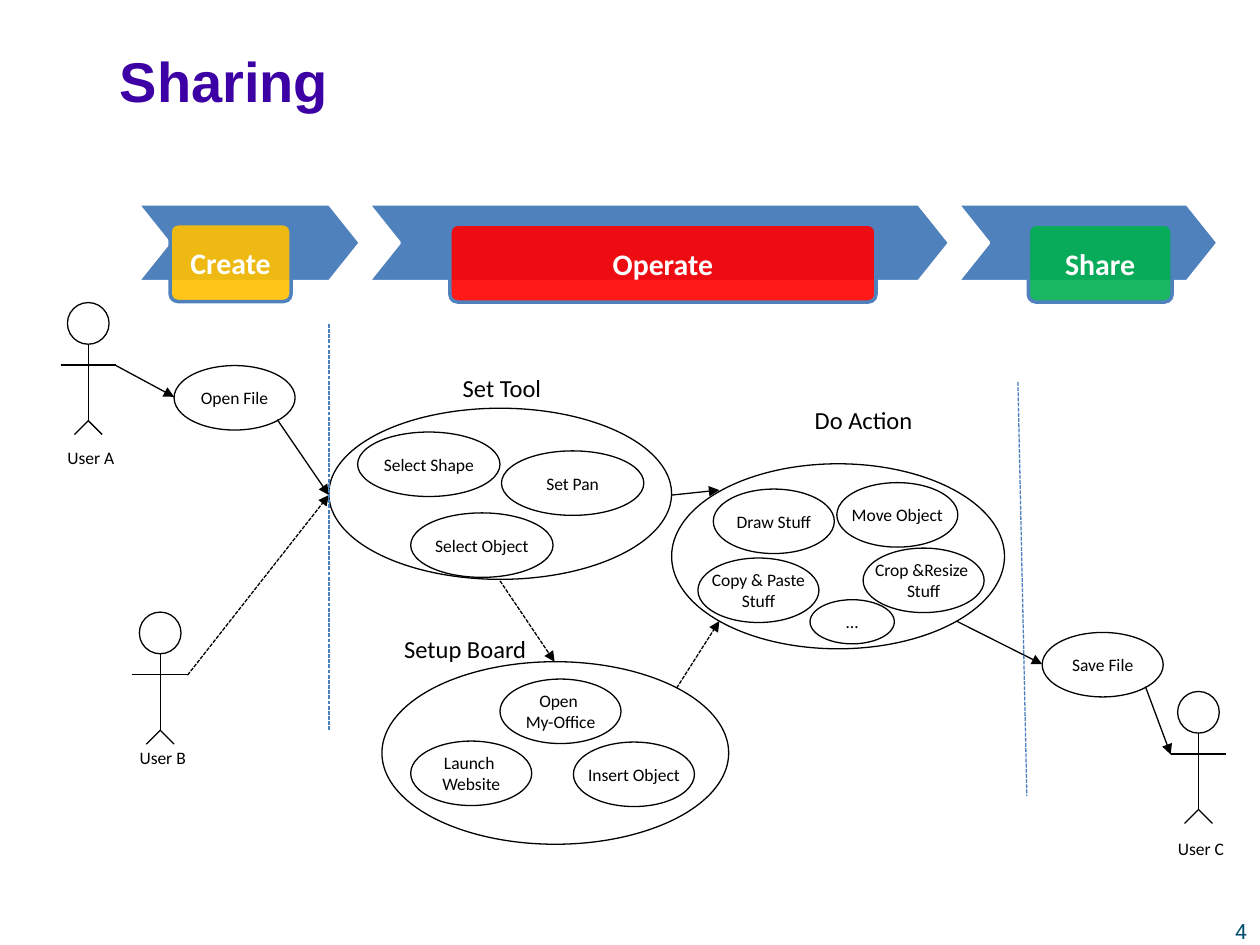
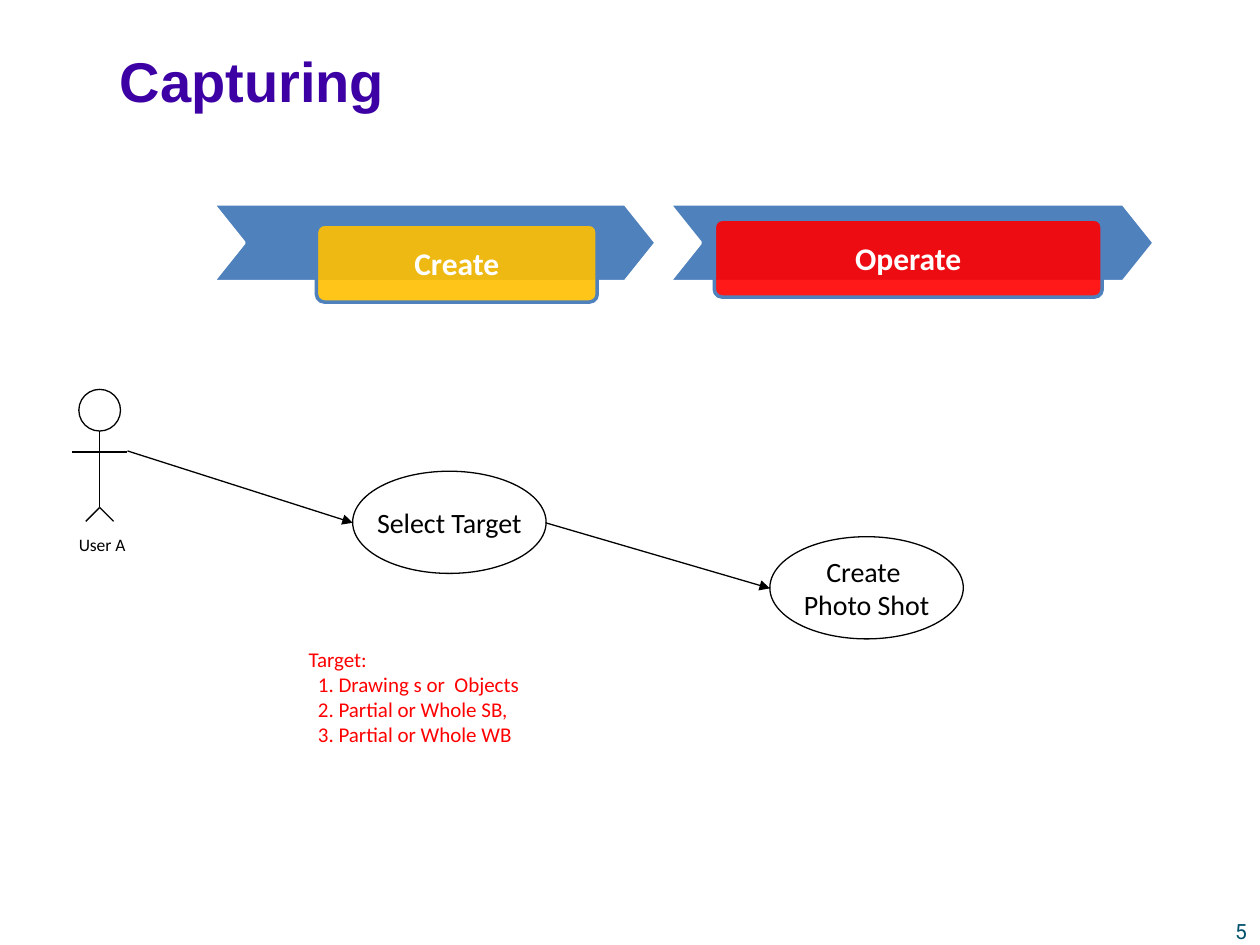
"""Build the Sharing and Capturing workflow slides."""
from lxml.etree import SubElement
from pptx import Presentation
from pptx.dml.color import RGBColor
from pptx.enum.dml import MSO_LINE
from pptx.enum.shapes import MSO_CONNECTOR, MSO_SHAPE
from pptx.enum.text import MSO_ANCHOR, PP_ALIGN
from pptx.oxml.ns import qn
from pptx.util import Cm, Pt

COLOURS = {
    "title": "3D00A4", "number": "00506E", "ink": "000000", "white": "FFFFFF",
    "band": "4F81BD", "divider": "4B7EBC", "note": "FF0000",
    "Create": "FFC000", "Operate": "FF0000", "Share": "00B050",
}
BAND_TOP, BAND_HEIGHT = 4.11, 1.57
SMALL, MEDIUM, LARGE = (2.44, 1.3), (2.87, 1.3), (3.9, 2.06)

SLIDES = [
    {
        "title": "Sharing", "number": "4", "step_size": 17,
        "steps": [
            ("Create", 2.77, 4.5, 3.43, 4.51, 2.44),
            ("Operate", 7.42, 11.73, 9.07, 4.52, 8.59),
            ("Share", 19.3, 5.26, 20.73, 4.52, 2.9),
        ],
        "actors": [("User A", 1.78, 6.1, 2.79), ("User B", 3.23, 12.34, 2.59),
                   ("User C", 24.16, 13.94, 2.82)],
        "ovals": [
            ("", 6.63, 8.23, (6.91, 3.45), 10),
            ("", 13.54, 9.35, (6.71, 3.73), 10),
            ("", 7.7, 13.34, (6.99, 3.68), 10),
            ("Open File", 3.51, 7.37, SMALL, 10),
            ("Select Shape", 7.21, 8.71, MEDIUM, 10),
            ("Set Pan", 10.11, 9.09, MEDIUM, 10),
            ("Select Object", 8.28, 10.34, MEDIUM, 10),
            ("Draw Stuff", 14.38, 9.86, SMALL, 10),
            ("Move Object", 16.87, 9.73, SMALL, 10),
            ("Copy & Paste\nStuff", 14.07, 11.25, SMALL, 10),
            ("Crop &Resize \nStuff", 17.4, 11.05, SMALL, 10),
            ("…", 16.33, 12.09, (1.7, 0.89), 10),
            ("Open \nMy-Office", 10.08, 13.69, SMALL, 10),
            ("Launch \nWebsite", 8.28, 14.94, SMALL, 10),
            ("Insert Object", 11.56, 14.96, SMALL, 10),
            ("Save File", 21.01, 12.75, SMALL, 10),
        ],
        "captions": [("Set Tool", 7.67, 7.39), ("Do Action", 14.96, 8.05),
                     ("Setup Board", 6.93, 12.65)],
        "arrows": [
            (2.34, 7.37, 3.51, 8), (5.59, 8.46, 6.63, 9.98),
            (13.54, 9.98, 14.5, 9.88), (19.28, 12.52, 21.01, 13.39),
            (23.09, 13.84, 23.6, 15.21),
        ],
        "dashed_arrows": [
            (3.78, 13.61, 6.63, 9.98), (10.08, 11.71, 11.18, 13.34),
            (13.64, 13.87, 14.5, 12.52),
        ],
        "dividers": [(6.63, 6.53, 6.63, 14.73), (20.52, 7.7, 20.7, 16.05)],
        "notes": [],
    },
    {
        "title": "Capturing", "number": "5", "step_size": 18,
        "steps": [
            ("Create", 4.29, 8.94, 6.38, 4.52, 5.66),
            ("Operate", 13.49, 9.78, 14.4, 4.42, 7.82),
        ],
        "actors": [("User A", 2.01, 7.85, 2.79)],
        "ovals": [("Select Target", 7.11, 9.5, LARGE, 16),
                  ("Create \nPhoto Shot", 15.52, 10.82, LARGE, 16)],
        "captions": [],
        "arrows": [(2.57, 9.09, 7.11, 10.54), (11, 10.54, 15.52, 11.86)],
        "dashed_arrows": [],
        "dividers": [],
        "notes": ["Target:", "1. Drawing s or  Objects", "2. Partial or Whole SB,",
                  "3. Partial or Whole WB"],
    },
]


def add_box(shapes, kind, left, top, width, height, text="", size=10, colour="ink",
            font="Calibri", bold=False, fill=None, line="ink", weight=0.75):
    """Add a preset shape, or a text box when kind is None, with centred text."""
    place = [Cm(value) for value in (left, top, width, height)]
    if kind is None:
        shape = shapes.add_textbox(*place)
    else:
        shape = shapes.add_shape(kind, *place)
        shape.shadow.inherit = False
        shape.line.color.rgb = RGBColor.from_string(COLOURS[line])
        shape.line.width = Pt(weight)
        if fill:
            shape.fill.solid()
            shape.fill.fore_color.rgb = RGBColor.from_string(COLOURS[fill])
        else:
            shape.fill.background()
        shape.text_frame.vertical_anchor = MSO_ANCHOR.MIDDLE
    shape.text_frame.word_wrap = kind is None
    if text:
        shape.text_frame.text = text
    for paragraph in shape.text_frame.paragraphs:
        paragraph.alignment = PP_ALIGN.CENTER
        for run in paragraph.runs:
            run.font.name = font
            run.font.size = Pt(size)
            run.font.bold = bold
            run.font.color.rgb = RGBColor.from_string(COLOURS[colour])
    return shape


def add_line(shapes, ends, arrow=False, dashed=False, colour="ink"):
    """Add a straight line, optionally dashed or with an arrowhead."""
    connector = shapes.add_connector(MSO_CONNECTOR.STRAIGHT, *[Cm(value) for value in ends])
    connector.line.color.rgb = RGBColor.from_string(COLOURS[colour])
    connector.line.width = Pt(0.75)
    if dashed:
        connector.line.dash_style = MSO_LINE.SQUARE_DOT
    if arrow:
        SubElement(connector.line._get_or_add_ln(), qn("a:tailEnd"), type="triangle")
    SubElement(connector._element.spPr, qn("a:effectLst"))


presentation = Presentation()
presentation.slide_width = Cm(25.4)
presentation.slide_height = Cm(19.05)

for content in SLIDES:
    slide = presentation.slides.add_slide(presentation.slide_layouts[5])
    shapes = slide.shapes

    title = shapes.title
    title.left, title.top, title.width, title.height = Cm(2.16), Cm(0.61), Cm(21.97), Cm(2.03)
    title.text_frame.text = content["title"]
    title.text_frame.vertical_anchor = MSO_ANCHOR.MIDDLE
    paragraph = title.text_frame.paragraphs[0]
    paragraph.alignment = PP_ALIGN.LEFT
    font = paragraph.runs[0].font
    font.name, font.size, font.bold = "Arial", Pt(32), True
    font.color.rgb = RGBColor.from_string(COLOURS["title"])

    add_box(shapes, None, 24.31, 18.39, 1.42, 0.58, content["number"], 12, "number", "Roboto")

    steps = shapes.add_group_shape().shapes
    for name, band_left, band_width, left, top, width in content["steps"]:
        band = add_box(steps, MSO_SHAPE.CHEVRON, band_left, BAND_TOP, band_width, BAND_HEIGHT,
                       fill="band", line="white", weight=2)
        band.adjustments[0] = 0.4
        step = add_box(steps, MSO_SHAPE.ROUNDED_RECTANGLE, left, top, width, BAND_HEIGHT, name,
                       content["step_size"], "white", bold=True, fill=name, line="band", weight=2)
        step.adjustments[0] = 0.1
        colour = step._element.spPr.find(qn("a:solidFill"))[0]
        SubElement(colour, qn("a:alpha"), val="90000")

    for name, x, y, label_drop in content["actors"]:
        actor = shapes.add_group_shape().shapes
        add_box(actor, MSO_SHAPE.OVAL, x - 0.42, y, 0.84, 0.84)
        add_line(actor, (x - 0.56, y + 1.26, x + 0.56, y + 1.26))
        add_line(actor, (x, y + 0.84, x, y + 2.38))
        for foot in (-0.28, 0.28):
            add_line(actor, (x, y + 2.38, x + foot, y + 2.66))
        add_box(actor, None, x - 1.15, y + label_drop, 2.4, 0.69, name)

    for text, left, top, (width, height), size in content["ovals"]:
        add_box(shapes, MSO_SHAPE.OVAL, left, top, width, height, text, size)

    for text, left, top in content["captions"]:
        add_box(shapes, None, left, top, 4.9, 0.86, text, 14)

    for ends in content["arrows"]:
        add_line(shapes, ends, arrow=True)
    for ends in content["dashed_arrows"]:
        add_line(shapes, ends, arrow=True, dashed=True)
    for ends in content["dividers"]:
        add_line(shapes, ends, dashed=True, colour="divider")

    if content["notes"]:
        note = add_box(shapes, None, 5.97, 12.9, 6.63, 2.82, "\n".join(content["notes"]), 12, "note")
        for index, paragraph in enumerate(note.text_frame.paragraphs):
            paragraph.alignment = PP_ALIGN.LEFT
            if index:
                paragraph._p.get_or_add_pPr().set("marL", str(Cm(0.19)))

presentation.save("out.pptx")
